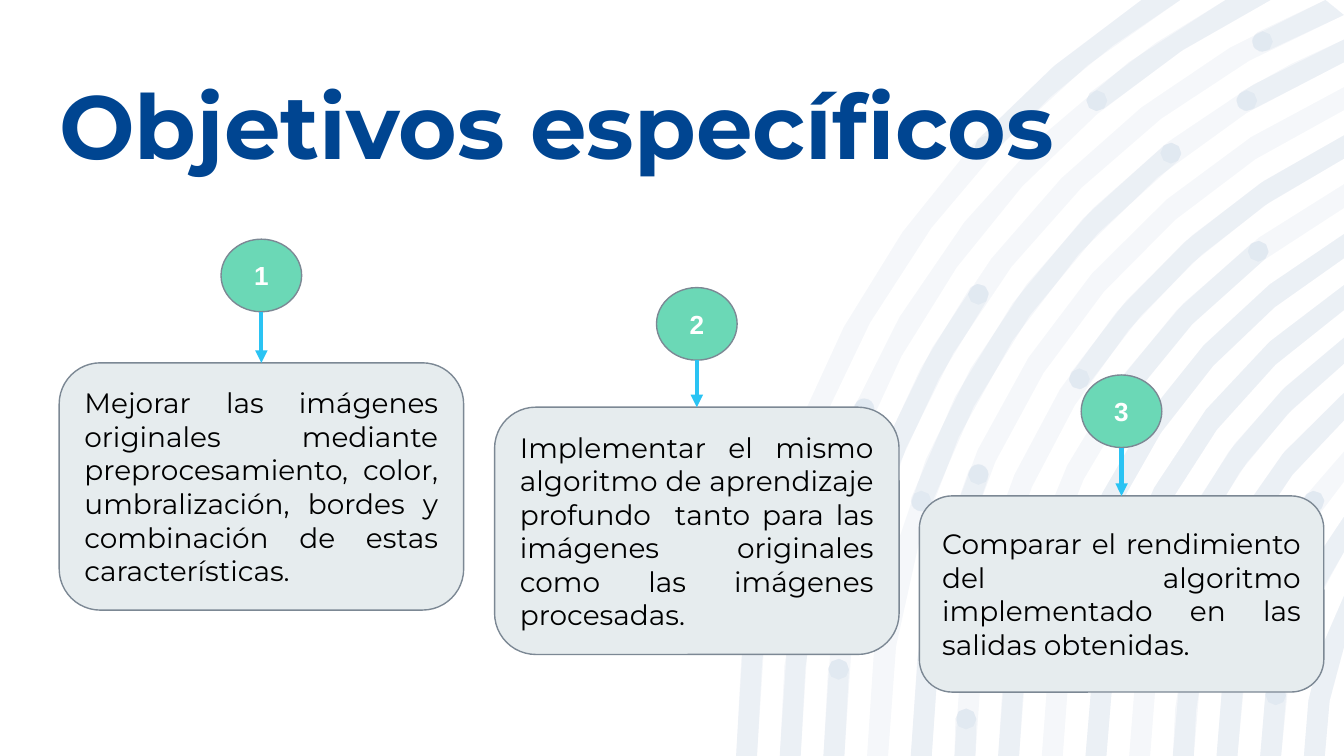
from dataclasses import dataclass
from math import acos, asin, ceil, cos, pi, sin, sqrt

from lxml import etree
from pptx import Presentation
from pptx.dml.color import RGBColor
from pptx.enum.shapes import MSO_CONNECTOR, MSO_SHAPE
from pptx.enum.text import MSO_ANCHOR, PP_ALIGN
from pptx.oxml.ns import qn
from pptx.util import Inches, Pt

ROUND, OVAL = MSO_SHAPE.ROUNDED_RECTANGLE, MSO_SHAPE.OVAL
LINE = MSO_CONNECTOR.STRAIGHT
MIDDLE, BOTTOM = MSO_ANCHOR.MIDDLE, MSO_ANCHOR.BOTTOM
LEFT, CENTER, JUSTIFY = PP_ALIGN.LEFT, PP_ALIGN.CENTER, PP_ALIGN.JUSTIFY

COLS, ROWS = 100, 56.25
CELL = Inches(10) / COLS
NAVY, GRAY, EDGE, GREEN, SKY = "004591", "E6ECEE", "7C8894", "6BD8B6", "2AC3F3"
FONT = "Montserrat"
CARD_W, BALL_W, BALL_H = 30.1, 6, 5.4
HUB_X, HUB_Y = 122.3, ROWS
REACH, STEP, HALF = 66.75, 3.25, 0.78
END = 0

Point = tuple[float, float]


@dataclass
class Card:
    left: float
    top: float
    height: float
    ball: float
    text: str


@dataclass
class Ring:
    radius: float
    spans: list[Point]


CARDS = [
    Card(4.4, 27, 18.4, 17.8,
         "Mejorar las imágenes originales mediante preprocesamiento, color, "
         "umbralización, bordes y combinación de estas características."),
    Card(36.8, 30.3, 18.4, 21.4,
         "Implementar el mismo algoritmo de aprendizaje profundo  tanto para "
         "las imágenes originales como las imágenes procesadas."),
    Card(68.4, 36.9, 14.6, 27.9,
         "Comparar el rendimiento del algoritmo implementado en las salidas "
         "obtenidas."),
]

SPANS = [
    [(ROWS, 35), (10.9, END)],
    [(ROWS, 30.4), (7.5, END)],
    [(ROWS, 49.8), (40.6, 21.9), (3.1, END)],
    [(37.3, 11.4), (7.5, END)],
    [(ROWS, 35.3)],
    [(ROWS, 53.5), (28.2, END)],
    [(ROWS, 44.4), (29.4, 18.7)],
    [(49.4, END)],
    [(ROWS, END)],
    [(43.2, END)],
    [(ROWS, 49.4), (39.5, END)],
    [(ROWS, 37.3)],
    [(ROWS, 51.7), (47.6, END)],
    [(ROWS, END)],
]
RINGS = [Ring(REACH - STEP * i, spans) for i, spans in enumerate(SPANS)]


def cells(*vals: float) -> list[int]:
    return [round(val * CELL) for val in vals]


def color(code: str) -> RGBColor:
    return RGBColor.from_string(code)


def polar(radius: float, turn: float) -> Point:
    return HUB_X - radius * cos(turn), HUB_Y - radius * sin(turn)


def limit(radius: float) -> float:
    side = acos((HUB_X - COLS) / radius)
    return min(side, asin(HUB_Y / radius)) if radius > HUB_Y else side


def angle(ring: Ring, row: float) -> float:
    return asin((HUB_Y - row) / ring.radius)


def cap(mid: Point, start: float) -> list[Point]:
    turns = [start + pi * i / 4 for i in range(1, 4)]
    return [(mid[0] - HALF * cos(t), mid[1] - HALF * sin(t)) for t in turns]


def disc(mid: Point) -> list[Point]:
    turns = [pi * i / 4 for i in range(8)]
    return [(mid[0] - HALF * cos(t), mid[1] - HALF * sin(t)) for t in turns]


def band(ring: Ring, low: float, high: float) -> list[Point]:
    first = angle(ring, low)

    def arc(radius: float) -> list[Point]:
        last = limit(radius) if high == END else angle(ring, high)
        count = ceil((last - first) / sqrt(1.2 / radius))
        return [polar(radius, first + (last - first) * i / count)
                for i in range(count + 1)]

    points = arc(ring.radius + HALF)
    if high != END:
        last = angle(ring, high)
        points += cap(polar(ring.radius, last), last)
    points += arc(ring.radius - HALF)[::-1]
    if low != ROWS:
        points += cap(polar(ring.radius, first), first + pi)
    return points


def layer(slide, paths: list[list[Point]]) -> None:
    pen = None
    for path in paths:
        spots = [tuple(cells(*point)) for point in path]
        if pen is None:
            pen = slide.shapes.build_freeform(*spots[0])
        else:
            pen.move_to(*spots[0])
        pen.add_line_segments(spots[1:], close=True)
    shape = pen.convert_to_shape()
    shape.shadow.inherit = False
    shape.line.fill.background()
    shape.fill.solid()
    shape.fill.fore_color.rgb = color(NAVY)
    tint = shape._element.spPr.find(".//" + qn("a:srgbClr"))
    etree.SubElement(tint, qn("a:alpha")).set("val", "4000")


def write(shape, text: str, *, size: float, ink: str, font: str = FONT,
          bold: bool = False, align=LEFT, anchor=MIDDLE, inset: float = 1,
          space: float = 1) -> None:
    frame = shape.text_frame
    frame.word_wrap = True
    frame.vertical_anchor = anchor
    gap = cells(inset)[0]
    frame.margin_left = frame.margin_right = gap
    frame.margin_top = frame.margin_bottom = gap
    para = frame.paragraphs[0]
    para.alignment, para.line_spacing = align, space
    run = para.add_run()
    run.text = text
    run.font.name, run.font.size, run.font.bold = font, Pt(size), bold
    run.font.color.rgb = color(ink)


def block(slide, kind, box: tuple[float, ...], fill: str):
    shape = slide.shapes.add_shape(kind, *cells(*box))
    shape.shadow.inherit = False
    shape.fill.solid()
    shape.fill.fore_color.rgb = color(fill)
    shape.line.color.rgb = color(EDGE)
    shape.line.width = Pt(0.75)
    return shape


def arrow(slide, col: float, start: float, stop: float) -> None:
    link = slide.shapes.add_connector(LINE, *cells(col, start, col, stop))
    link.line.color.rgb = color(SKY)
    link.line.width = Pt(2.25)
    props = link._element.spPr
    etree.SubElement(props.find(qn("a:ln")), qn("a:tailEnd")).set("type", "triangle")
    etree.SubElement(props, qn("a:effectLst"))


def draw(slide, card: Card, num: int) -> None:
    mid = card.left + CARD_W / 2
    body = block(slide, ROUND, (card.left, card.top, CARD_W, card.height), GRAY)
    write(body, card.text, size=15, ink="000000", align=JUSTIFY)
    ball = block(slide, OVAL, (mid - BALL_W / 2, card.ball, BALL_W, BALL_H), GREEN)
    write(ball, str(num), size=14, ink="FFFFFF", font="Arial", bold=True, align=CENTER)
    arrow(slide, mid, card.ball + BALL_H, card.top)


def main() -> None:
    deck = Presentation()
    deck.slide_width, deck.slide_height = cells(COLS, ROWS)
    slide = deck.slides.add_slide(deck.slide_layouts[6])
    layer(slide, [band(ring, ROWS, END) for ring in RINGS])
    layer(slide, [band(ring, *span) for ring in RINGS for span in ring.spans])
    layer(slide, [disc(polar(ring.radius, angle(ring, row)))
                  for ring in RINGS for span in ring.spans
                  for row in span if row not in (ROWS, END)])
    title = slide.shapes.add_textbox(*cells(4.4, 1.8, 81.3, 11.5))
    write(title, "Objetivos específicos", size=48, ink=NAVY, bold=True,
          anchor=BOTTOM, inset=0, space=0.9)
    for num, card in enumerate(CARDS, 1):
        draw(slide, card, num)
    deck.save("out.pptx")


if __name__ == "__main__":
    main()
